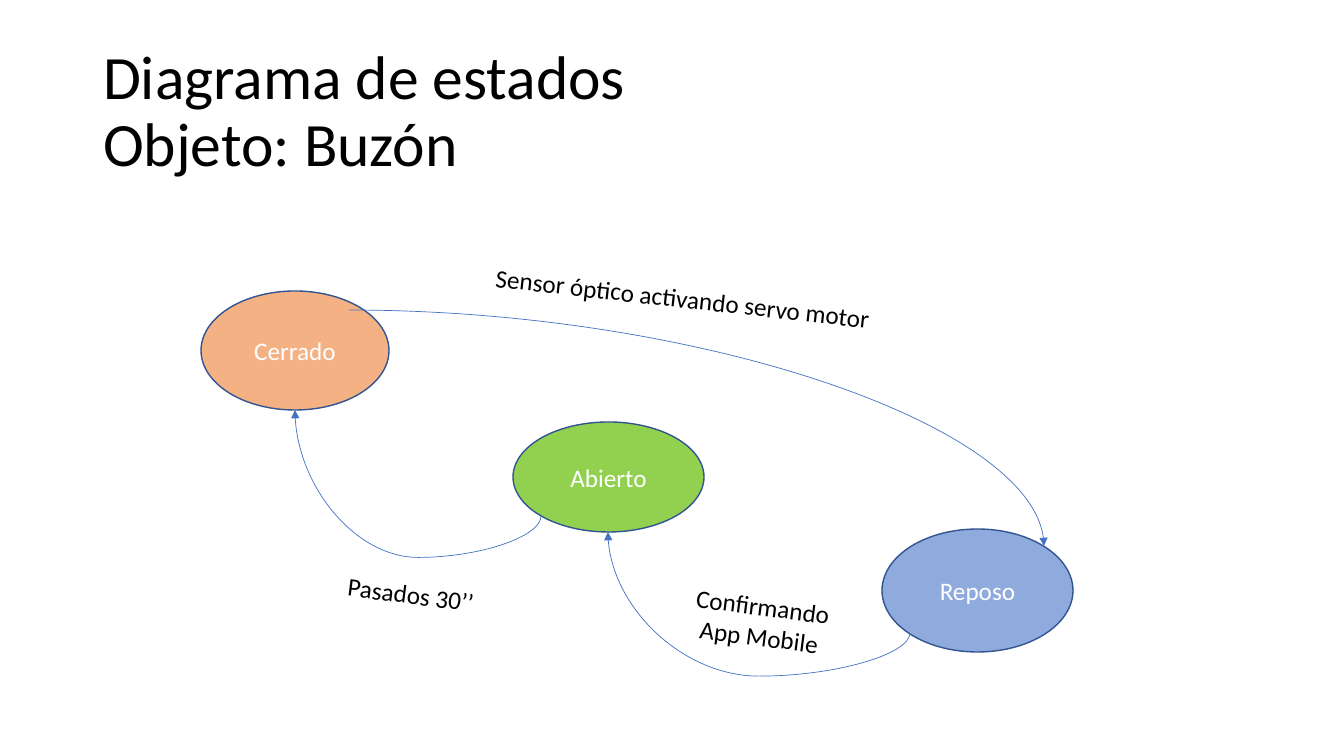
import pptx
import pptx.util
import pptx.dml.color
import pptx.enum.shapes
import pptx.enum.text
import pptx.oxml.ns
import lxml.etree

TITLE = ["Diagrama de estados ", "Objeto: Buzón"]
TITLE_BOX = (93, 40, 1159, 146)
COLOURS = {
    "text": "000000", "state text": "FFFFFF", "outline": "325491", "arrow": "4472C4",
    "Cerrado": "F4B183", "Abierto": "92D050", "Reposo": "8FAADC",
}
# Boxes are left, top, width, height in px
STATES = {
    "Cerrado": (201, 291, 188, 119),
    "Abierto": (513, 422, 191, 110),
    "Reposo": (882, 529, 191, 123),
}
SENSOR_ARROW = ((349, 310), (1044, 546))
# Start, end, and how far the curve dips below its start as a share of its height
RETURN_ARROWS = [
    ((541, 516), (295, 410), -0.391),
    ((910, 633), (608, 532), -0.427),
]
LABELS = [
    ("Sensor óptico activando servo motor", (485, 278, 398, 40), 6.3, "LEFT"),
    ("Confirmando App Mobile", (678, 586, 166, 72), 7.4, "CENTER"),
    ("Pasados 30’’", (328, 574, 166, 40), 7.4, "CENTER"),
]
FONT = "Calibri"
EMU_PER_PX = 914400 / 100.8
ALIGN = pptx.enum.text.PP_ALIGN
ANCHOR = pptx.enum.text.MSO_ANCHOR
qn = pptx.oxml.ns.qn


def emu(*lengths):
    return [round(length * EMU_PER_PX) for length in lengths]


def colour(name):
    return pptx.dml.color.RGBColor.from_string(COLOURS[name])


def add_span(para, text, size, colour_name):
    span = para.add_run()
    span.text = text
    span.font.name = FONT
    span.font.size = pptx.util.Pt(size)
    span.font.color.rgb = colour(colour_name)


def write_line(frame, text, colour_name, align):
    frame.word_wrap = True
    para = frame.paragraphs[0]
    para.alignment = align
    add_span(para, text, 18, colour_name)


def add_arrow(page, start, end):
    arrow = page.shapes.add_connector(
        pptx.enum.shapes.MSO_CONNECTOR.CURVE, *emu(*start, *end))
    arrow.line.color.rgb = colour("arrow")
    arrow.line.width = pptx.util.Pt(0.5)
    line = arrow.line._get_or_add_ln()
    lxml.etree.SubElement(line, qn("a:tailEnd"), type="triangle")
    properties = arrow._element.spPr
    lxml.etree.SubElement(properties, qn("a:effectLst"))
    return properties


def add_return_arrow(page, start, end, dip):
    """Draw a curve that leaves and arrives vertically: a level one turned by 90 degrees."""
    middle_x, middle_y = (start[0] + end[0]) / 2, (start[1] + end[1]) / 2
    half_x, half_y = (start[0] - end[0]) / 2, (start[1] - end[1]) / 2
    properties = add_arrow(page, (middle_x + half_y, middle_y - half_x),
                           (middle_x - half_y, middle_y + half_x))
    properties.find(qn("a:xfrm")).set("rot", str(90 * 60000))
    guides = properties.find(qn("a:prstGeom")).find(qn("a:avLst"))
    lxml.etree.SubElement(guides, qn("a:gd"), name="adj1", fmla=f"val {round(dip * 100000)}")


deck = pptx.Presentation()
deck.slide_width, deck.slide_height = emu(1344, 756)
page = deck.slides.add_slide(deck.slide_layouts.get_by_name("Title Only"))

title = page.shapes.title
title.left, title.top, title.width, title.height = emu(*TITLE_BOX)
title.text_frame.vertical_anchor = ANCHOR.MIDDLE
title.text_frame.auto_size = pptx.enum.text.MSO_AUTO_SIZE.NONE
heading = title.text_frame.paragraphs[0]
heading.alignment = ALIGN.LEFT
heading.line_spacing = 0.9
for number, text in enumerate(TITLE):
    if number:
        heading.add_line_break()
    add_span(heading, text, 44, "text")

for name, box in STATES.items():
    state = page.shapes.add_shape(pptx.enum.shapes.MSO_SHAPE.OVAL, *emu(*box))
    state.shadow.inherit = False
    state.fill.solid()
    state.fill.fore_color.rgb = colour(name)
    state.line.color.rgb = colour("outline")
    state.line.width = pptx.util.Pt(1)
    state.text_frame.vertical_anchor = ANCHOR.MIDDLE
    write_line(state.text_frame, name, "state text", ALIGN.CENTER)

sensor = add_arrow(page, *SENSOR_ARROW)
sensor.find(qn("a:prstGeom")).set("prst", "curvedConnector2")
for start, end, dip in RETURN_ARROWS:
    add_return_arrow(page, start, end, dip)

for text, box, angle, align in LABELS:
    label = page.shapes.add_textbox(*emu(*box))
    label.rotation = angle
    write_line(label.text_frame, text, "text", ALIGN[align])

deck.save("out.pptx")
